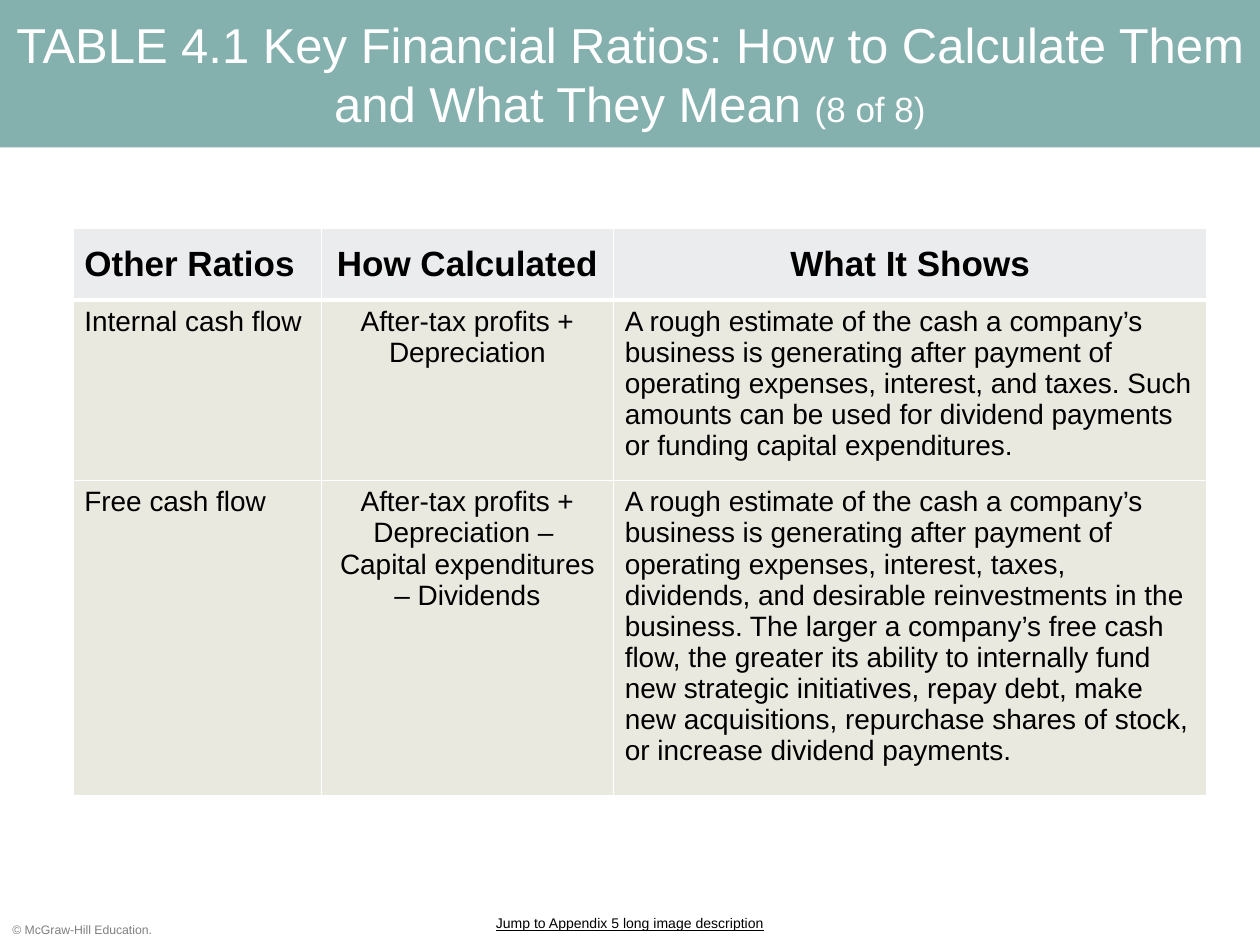
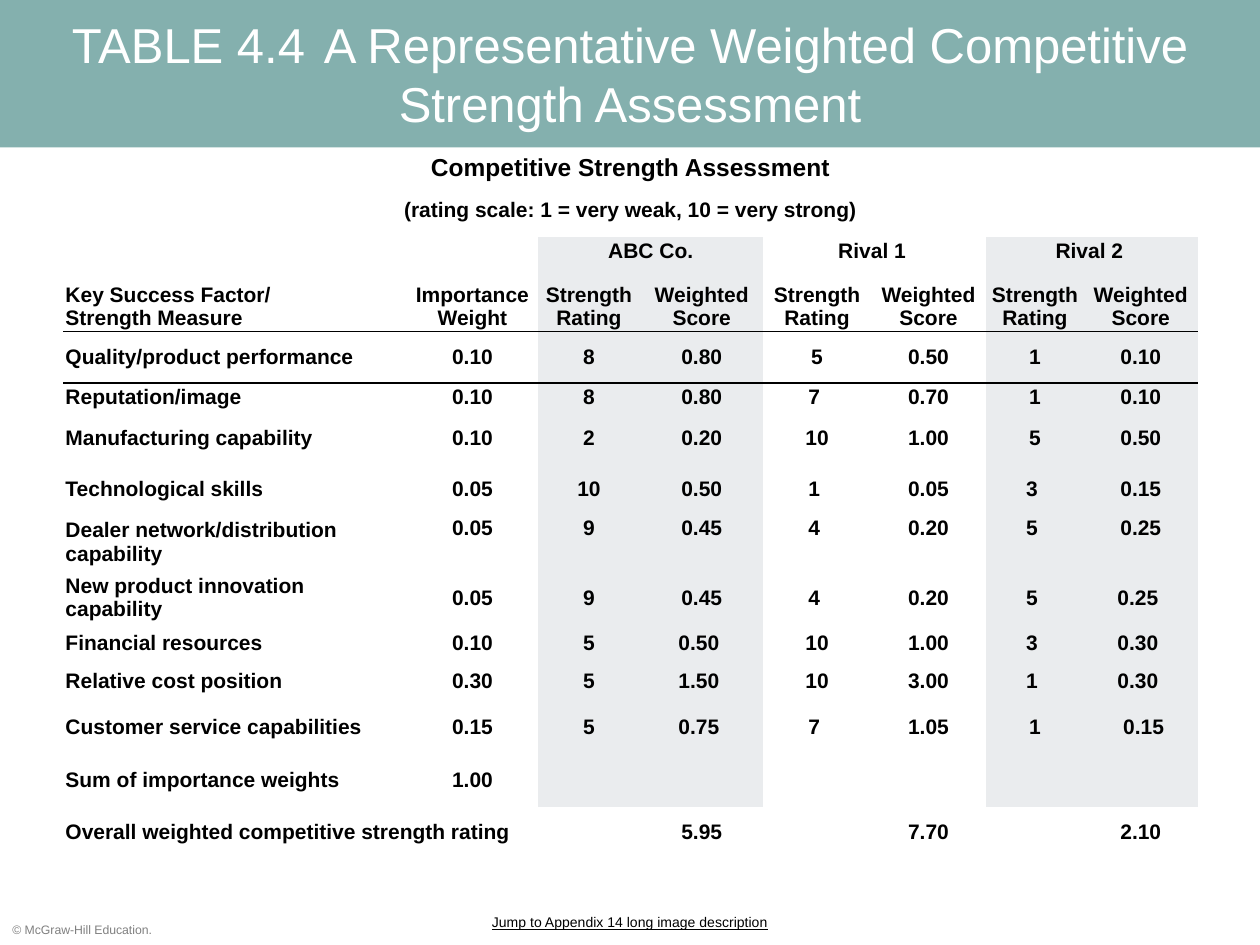
"""Build two slides of tables on key financial ratios and competitive strength."""
from lxml import etree
from pptx import Presentation
from pptx.dml.color import RGBColor
from pptx.enum import shapes, text
from pptx.oxml.ns import qn
from pptx.util import Inches, Pt

FONT = "Arial"
TEAL, WHITE, BLACK, GREY = "84B0AE", "FFFFFF", "000000", "808080"
SILVER, SAND = "EAECEE", "EAE9DF"
PLAIN_TABLE = "{2D5ABB26-0587-4C30-8999-92F81FD0307C}"
LEFT, CENTER = text.PP_ALIGN.LEFT, text.PP_ALIGN.CENTER
TOP, MIDDLE, BOTTOM = text.MSO_ANCHOR.TOP, text.MSO_ANCHOR.MIDDLE, text.MSO_ANCHOR.BOTTOM

COPYRIGHT = "© McGraw-Hill Education."

RATIO_TITLE = [
    ("TABLE 4.1 Key Financial Ratios: How to Calculate Them and What They Mean ", 28),
    ("(8 of 8)", 20),
]
RATIO_JUMP = "Jump to Appendix 5 long image description"
RATIO_COLUMNS = [1.97, 2.32, 4.71]
RATIO_HEIGHTS = [0.57, 1.43, 2.5]
RATIO_ROWS = [
    ["Other Ratios", "How Calculated", "What It Shows"],
    ["Internal cash flow", "After-tax profits + Depreciation",
     "A rough estimate of the cash a company’s business is generating after payment of "
     "operating expenses, interest, and taxes. Such amounts can be used for dividend "
     "payments or funding capital expenditures."],
    ["Free cash flow", "After-tax profits + Depreciation – \vCapital expenditures – Dividends",
     "A rough estimate of the cash a company’s business is generating after payment of "
     "operating expenses, interest, taxes, dividends, and desirable reinvestments in the "
     "business. The larger a company’s free cash flow, the greater its ability to internally "
     "fund new strategic initiatives, repay debt, make new acquisitions, repurchase shares "
     "of stock, or increase dividend payments."],
]

STRENGTH_TITLE = [("TABLE 4.4 \tA Representative Weighted Competitive Strength Assessment", 28)]
STRENGTH_JUMP = "Jump to Appendix 14 long image description"
STRENGTH_COLUMNS = [2.73, 1.04, 0.81, 0.98, 0.85, 0.92, 0.77, 0.91]
STRENGTH_HEIGHTS = [0.26, 0.42, 0.23, 0.52, 0.41, 0.23, 0.41, 0.41, 0.43, 0.45,
                    0.27, 0.33, 0.41, 0.43, 0.39]
STRENGTH_ROWS = [
    ["Competitive Strength Assessment"],
    ["(rating scale: 1 = very weak, 10 = very strong)"],
    ["", "", "ABC Co.", "", "Rival 1 ", "", "Rival 2 ", ""],
    ["Key Success Factor/ \vStrength Measure", "Importance Weight"]
    + ["Strength Rating", "Weighted Score"] * 3,
    ["Quality/product performance", "0.10", "8", "0.80", "5", "0.50", "1", "0.10"],
    ["Reputation/image", "0.10", "8", "0.80", "7 ", "0.70", "1", "0.10"],
    ["Manufacturing capability", "0.10", "2", "0.20", "10", "1.00", "5", "0.50"],
    ["Technological skills", "0.05", "10", "0.50", "1 ", "0.05", "3 ", "0.15"],
    ["Dealer network/distribution capability", "0.05", "9", "0.45", "4 ", "0.20", "5 ", "0.25"],
    ["New product innovation capability", "0.05", "9", "0.45", "4 ", "0.20", "5 ", "0.25 "],
    ["Financial resources", "0.10", "5", "0.50 ", "10", "1.00", "3 ", "0.30 "],
    ["Relative cost position", "0.30", "5", "1.50 ", "10", "3.00", "1 ", "0.30 "],
    ["Customer service capabilities", "0.15", "5", "0.75 ", "7 ", "1.05", "1", " 0.15"],
    ["Sum of importance weights", "1.00"],
    ["Overall weighted competitive strength rating", "", "", "5.95", "", "7.70", "", "2.10"],
]
STRENGTH_SPANS = [(0, 0, 7), (1, 0, 7), (2, 2, 3), (2, 4, 5), (2, 6, 7), (14, 0, 2)]
GROUP_ROW, HEADING_ROW, DEALER_ROW, SUM_ROW = 2, 3, 8, 13
SHADED_COLUMNS = (2, 3, 6, 7)


def color(value):
    return RGBColor.from_string(value)


def style(font, size, ink, bold=False, underline=None):
    font.name, font.size, font.bold, font.underline = FONT, Pt(size), bold, underline
    font.color.rgb = color(ink)


def add_label(page, words, place, size, ink, align=LEFT, underline=None):
    box = page.shapes.add_textbox(*map(Inches, place))
    box.text_frame.word_wrap = True
    para = box.text_frame.paragraphs[0]
    para.text, para.alignment = words, align
    style(para.font, size, ink, underline=underline)


def add_page(deck, title, jump, jump_top):
    page = deck.slides.add_slide(deck.slide_layouts[6])
    add_label(page, COPYRIGHT, (0, 7.27, 1.35, 0.22), 7, GREY)
    band = page.shapes.add_shape(shapes.MSO_SHAPE.RECTANGLE, 0, 0, Inches(10), Inches(1.17))
    band.shadow.inherit = False
    band.fill.solid()
    band.fill.fore_color.rgb = color(TEAL)
    band.line.fill.background()
    band.text_frame.word_wrap = True
    band.text_frame.vertical_anchor = MIDDLE
    para = band.text_frame.paragraphs[0]
    para.alignment = CENTER
    for words, size in title:
        span = para.add_run()
        span.text = words
        style(span.font, size, WHITE)
    add_label(page, jump, (0, jump_top, 10, 0.28), 8, BLACK, CENTER, True)
    return page


def add_grid(page, left, top, columns, heights):
    frame = page.shapes.add_table(len(heights), len(columns), Inches(left), Inches(top),
                                  Inches(sum(columns)), Inches(sum(heights)))
    grid = frame.table
    grid.first_row = grid.horz_banding = False
    grid._tbl.tblPr.find(qn("a:tableStyleId")).text = PLAIN_TABLE
    for column, width in zip(grid.columns, columns):
        column.width = Inches(width)
    for row, height in zip(grid.rows, heights):
        row.height = Inches(height)
    return grid


def fill_cell(cell, words, size, bold, align, anchor, fill, borders, margins):
    cell.vertical_anchor = anchor
    cell.margin_left = cell.margin_right = Inches(margins[0])
    cell.margin_top = cell.margin_bottom = Inches(margins[1])
    properties = cell._tc.get_or_add_tcPr()
    for side in "LRTB":
        if side in borders:
            ink, width = borders[side]
            line = etree.SubElement(properties, qn(f"a:ln{side}"), w=str(Pt(width)))
            solid = etree.SubElement(line, qn("a:solidFill"))
            etree.SubElement(solid, qn("a:srgbClr"), val=ink)
    if fill:
        cell.fill.solid()
        cell.fill.fore_color.rgb = color(fill)
    else:
        cell.fill.background()
    para = cell.text_frame.paragraphs[0]
    para.text, para.alignment = words, align
    style(para.font, size, BLACK, bold)
    if not words:
        etree.SubElement(para._p, qn("a:endParaRPr"), sz=str(size * 100))


def build_ratios(deck):
    page = add_page(deck, RATIO_TITLE, RATIO_JUMP, 7.21)
    grid = add_grid(page, 0.58, 1.81, RATIO_COLUMNS, RATIO_HEIGHTS)
    for r, row in enumerate(RATIO_ROWS):
        head = r == 0
        borders = dict.fromkeys("LRTB", (WHITE, 1))
        if head:
            borders["B"] = (WHITE, 3)
        elif r == 1:
            borders["T"] = (WHITE, 3)
        for c, words in enumerate(row):
            align = CENTER if c == 1 or (head and c == 2) else LEFT
            fill_cell(grid.cell(r, c), words, 20 if head else 16, head, align,
                      MIDDLE if head else TOP, SILVER if head else SAND, borders, (0.09, 0.05))


def build_strengths(deck):
    page = add_page(deck, STRENGTH_TITLE, STRENGTH_JUMP, 7.2)
    grid = add_grid(page, 0.5, 1.2, STRENGTH_COLUMNS, STRENGTH_HEIGHTS)
    rules = {HEADING_ROW: {"B": (BLACK, 1)}, HEADING_ROW + 1: {"T": (BLACK, 1)}}
    for r, row in enumerate(STRENGTH_ROWS):
        padded = row + [""] * (len(STRENGTH_COLUMNS) - len(row))
        for c, words in enumerate(padded):
            anchor = MIDDLE
            if r == HEADING_ROW:
                anchor = BOTTOM
            elif r == DEALER_ROW and c > 0:
                anchor = TOP
            shaded = GROUP_ROW <= r <= SUM_ROW and c in SHADED_COLUMNS
            fill_cell(grid.cell(r, c), words, 14 if r == 0 else 12, True,
                      LEFT if c == 0 and r > GROUP_ROW else CENTER, anchor,
                      SILVER if shaded else None, rules.get(r, {}), (0.02, 0.01))
    for r, first, last in STRENGTH_SPANS:
        grid.cell(r, first).merge(grid.cell(r, last))


def main():
    deck = Presentation()
    deck.slide_width, deck.slide_height = Inches(10), Inches(7.5)
    build_ratios(deck)
    build_strengths(deck)
    deck.save("out.pptx")


if __name__ == "__main__":
    main()
